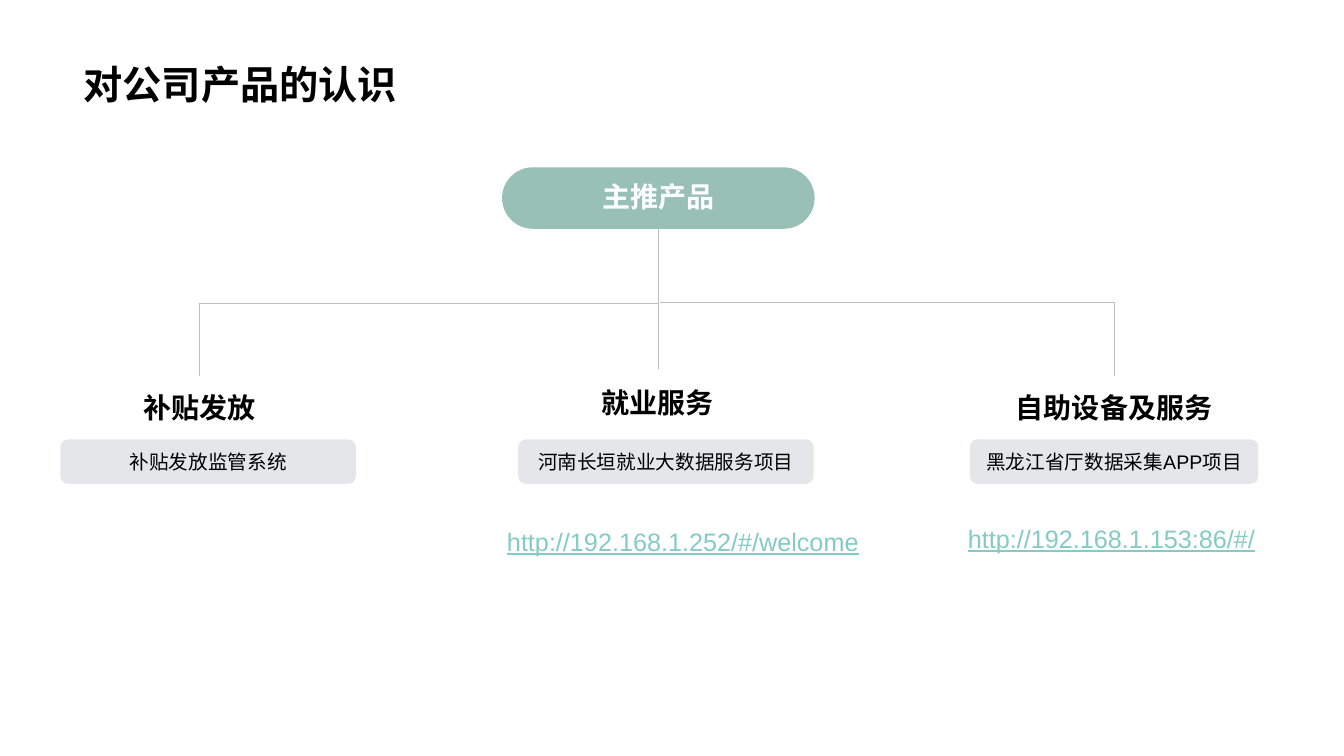
from lxml import etree
from pptx import Presentation
from pptx.dml.color import RGBColor
from pptx.enum.shapes import MSO_CONNECTOR as Connector, MSO_SHAPE as Shape
from pptx.enum.text import MSO_ANCHOR as Anchor, PP_ALIGN as Align
from pptx.oxml.ns import qn
from pptx.util import Inches, Pt


def color(value):
    return RGBColor.from_string(value)


def write(shape, text, size, ink="000000", bold=False, underline=False,
          align=Align.CENTER, anchor=Anchor.MIDDLE, wrap=True, spacing=1.0):
    frame = shape.text_frame
    frame.word_wrap = wrap
    frame.vertical_anchor = anchor
    paragraph = frame.paragraphs[0]
    paragraph.alignment = align
    paragraph.line_spacing = spacing
    run = paragraph.add_run()
    run.text = text
    font = run.font
    font.name = "Arial"
    font.size = Pt(size)
    font.bold = bold
    font.underline = underline
    font.color.rgb = color(ink)


def add_title(slide, box, text):
    title = slide.shapes.title
    title.left, title.top, title.width, title.height = map(Inches, box)
    write(title, text, 28, bold=True, align=Align.LEFT, anchor=Anchor.BOTTOM, spacing=0.9)


def add_bar(slide, box, fill, rounding):
    bar = slide.shapes.add_shape(Shape.ROUNDED_RECTANGLE, *map(Inches, box))
    bar.adjustments[0] = rounding
    bar.shadow.inherit = False
    bar.fill.solid()
    bar.fill.fore_color.rgb = color(fill)
    bar.line.fill.background()
    return bar


def add_root(slide, box, text):
    root = add_bar(slide, box, "99C0B7", 0.5)
    write(root, text, 20, "FFFFFF", bold=True, wrap=False, spacing=0.9)


def add_elbow(slide, box, preset="bentConnector3", degrees=0, flip=False):
    left, top, width, height = box
    start_x, end_x = (left + width, left) if flip else (left, left + width)
    elbow = slide.shapes.add_connector(
        Connector.ELBOW, *map(Inches, (start_x, top, end_x, top + height)))
    elbow.line.color.rgb = color("BFBFBF")
    elbow.line.width = Pt(0.25)
    properties = elbow._element.spPr
    properties.find(qn("a:xfrm")).set("rot", str(degrees * 60000))
    properties.find(qn("a:prstGeom")).set("prst", preset)
    etree.SubElement(properties, qn("a:effectLst"))


def add_tree(slide):
    add_elbow(slide, (3.53, 0.73, 1.45, 4.55), degrees=90)
    add_elbow(slide, (6.55, 3, 4.5, 0.73), preset="bentConnector2")
    add_elbow(slide, (5.83, 2.97, 1.39, 0), degrees=270, flip=True)


def add_branch(slide, heading_box, heading, bar_box, project):
    label = slide.shapes.add_textbox(*map(Inches, heading_box))
    write(label, heading, 20, bold=True, wrap=False)
    write(add_bar(slide, bar_box, "E4E6EA", 0.17), project, 14)


def add_address(slide, box, text):
    address = slide.shapes.add_textbox(*map(Inches, box))
    write(address, text, 18, "84CBC5", underline=True, align=Align.LEFT, anchor=Anchor.TOP)


def main():
    presentation = Presentation()
    presentation.slide_width = Inches(13.33)
    presentation.slide_height = Inches(7.5)
    slide = presentation.slides.add_slide(presentation.slide_layouts[5])

    add_title(slide, (0.73, 0, 11.87, 1.12), "对公司产品的认识")
    add_root(slide, (4.98, 1.66, 3.1, 0.61), "主推产品")
    add_tree(slide)

    branches = [
        ((0.6, 3.73, 2.76, 0.62), "补贴发放", (0.6, 4.36, 2.93, 0.44), "补贴发放监管系统"),
        ((5.14, 3.68, 2.76, 0.62), "就业服务", (5.14, 4.36, 2.93, 0.44), "河南长垣就业大数据服务项目"),
        ((9.67, 3.73, 2.76, 0.62), "自助设备及服务", (9.62, 4.36, 2.86, 0.44), "黑龙江省厅数据采集APP项目"),
    ]
    for branch in branches:
        add_branch(slide, *branch)

    add_address(slide, (4.93, 5.17, 3.72, 0.4), "http://192.168.1.252/#/welcome")
    add_address(slide, (9.5, 5.14, 3.22, 0.4), "http://192.168.1.153:86/#/")
    presentation.save("out.pptx")


if __name__ == "__main__":
    main()
